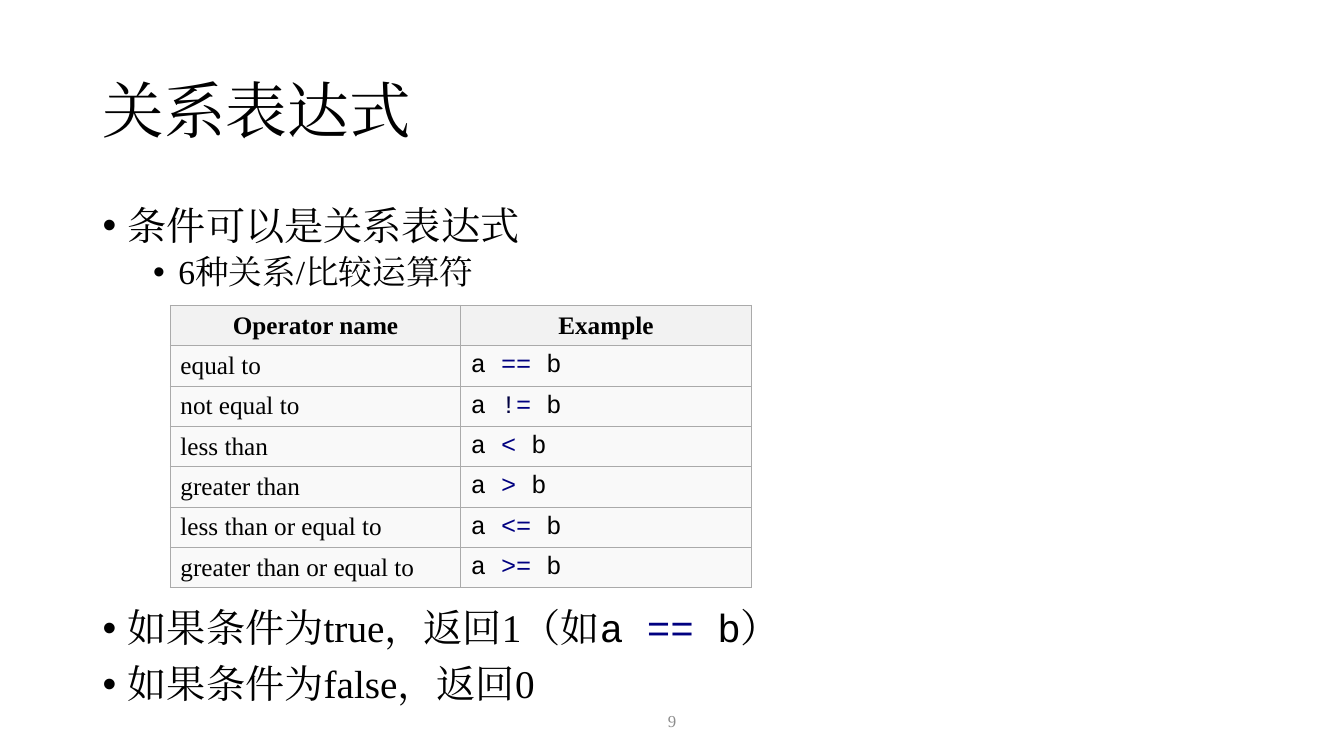
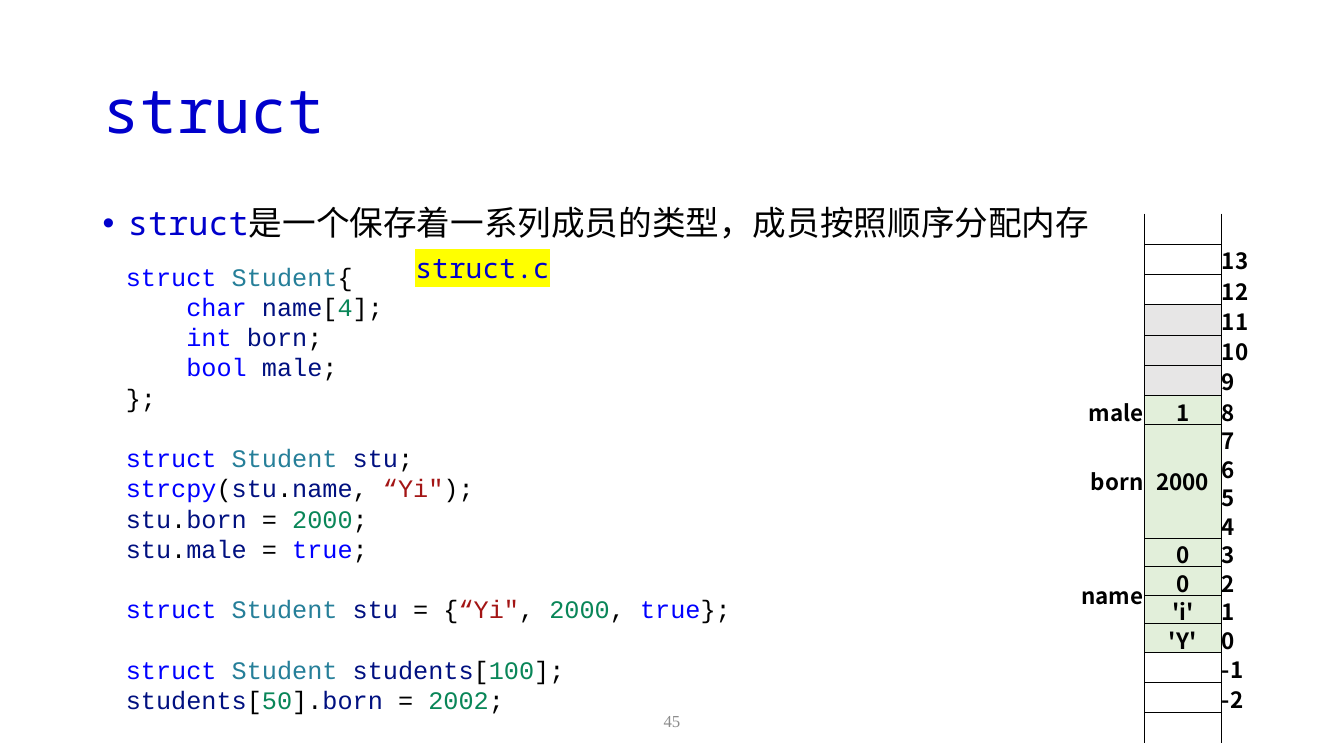
"""Build two slides on relational expressions and struct memory layout."""
from lxml.etree import SubElement
from pptx import Presentation
from pptx.dml.color import RGBColor
from pptx.enum.text import MSO_ANCHOR, PP_ALIGN
from pptx.oxml import parse_xml
from pptx.oxml.ns import nsdecls, qn
from pptx.util import Inches, Pt

BLACK = RGBColor(0x00, 0x00, 0x00)
WHITE = RGBColor(0xFF, 0xFF, 0xFF)
PAGE_GRAY = RGBColor(0x8C, 0x8C, 0x8C)
STRUCT_BLUE = RGBColor(0x00, 0x00, 0xCC)
OPERATOR_BLUE = RGBColor(0x00, 0x00, 0x80)
BANG_BLUE = RGBColor(0x00, 0x00, 0x40)
KEYWORD_BLUE = RGBColor(0x00, 0x00, 0xFF)
TYPE_TEAL = RGBColor(0x26, 0x7F, 0x99)
NAME_NAVY = RGBColor(0x00, 0x10, 0x80)
NUMBER_GREEN = RGBColor(0x09, 0x86, 0x58)
STRING_RED = RGBColor(0xA3, 0x15, 0x15)
HIGHLIGHT = RGBColor(0xFF, 0xFF, 0x00)
RULE_GRAY = RGBColor(0xAA, 0xAA, 0xAA)
HEADER_FILL = RGBColor(0xF2, 0xF2, 0xF2)
ROW_FILL = RGBColor(0xF9, 0xF9, 0xF9)
PADDING_FILL = RGBColor(0xE7, 0xE6, 0xE6)
MEMBER_FILL = RGBColor(0xE2, 0xEF, 0xDA)

SERIF = "Times New Roman"
COURIER = "Courier New"
MONO = "Noto Sans Mono"
SANS = "Noto Sans CJK SC"

KEYWORDS = {"struct", "char", "int", "bool", "true", "strcpy"}

COMPARISONS = [
    ("equal to", "=="),
    ("not equal to", "!="),
    ("less than", "<"),
    ("greater than", ">"),
    ("less than or equal to", "<="),
    ("greater than or equal to", ">="),
]

CODE_BLOCKS = [
    [
        "struct| |Student|{",
        "\tchar| |name|[|4|];",
        "\tint| |born|;",
        "\tbool| |male|;",
        "};",
    ],
    [
        "struct| |Student| |stu|;",
        "strcpy|(|stu|.|name|, |“Yi\"|);",
        "stu|.|born| = |2000|;",
        "stu|.|male| = |true|;",
    ],
    ["struct| |Student| |stu| = {|“Yi\"|, |2000|, |true|};"],
    [
        "struct| |Student| |students|[|100|];",
        "students|[|50|].|born| = |2002|;",
    ],
]

TOP_ADDRESS = 14
ADDRESS_ROWS = 18
PADDING_ADDRESSES = range(9, 12)
MEMBER_ADDRESSES = range(0, 9)
MEMBER_NAMES = {8: "male", 7: "born", 3: "name"}
MEMBER_VALUES = {8: "1", 7: "2000", 3: "0", 2: "0", 1: "'i'", 0: "'Y'"}


def add_run(paragraph, text, size=18, font=SERIF, color=BLACK, bold=False, highlight=None):
    run = paragraph.add_run()
    run.text = text
    run.font.size = Pt(size)
    run.font.bold = bold
    run.font.color.rgb = color
    run.font.name = font
    properties = run.font.fill._xPr
    SubElement(properties, qn("a:ea")).set("typeface", font)
    if highlight is not None:
        properties.insert(1, parse_xml(
            f'<a:highlight {nsdecls("a")}><a:srgbClr val="{highlight}"/></a:highlight>'))


def comparison_runs(operator):
    signs = [(sign, BANG_BLUE if sign == "!" else OPERATOR_BLUE) for sign in operator]
    parts = [("a ", BLACK), *signs, (" b", BLACK)]
    return [(text, {"font": COURIER, "color": color}) for text, color in parts]


def code_color(token):
    if token in KEYWORDS:
        return KEYWORD_BLUE
    if token == "Student":
        return TYPE_TEAL
    if token.isdigit():
        return NUMBER_GREEN
    if token.startswith("“"):
        return STRING_RED
    return NAME_NAVY if token.isalpha() else BLACK


class Deck:
    def __init__(self):
        self.presentation = Presentation()
        self.presentation.slide_width = Inches(13.33)
        self.presentation.slide_height = Inches(7.5)
        self.slide = None

    def start(self, title, number, **title_format):
        self.slide = self.presentation.slides.add_slide(self.presentation.slide_layouts[6])
        heading = self.text_box(0.92, 0.4, 11.5, 1.45, MSO_ANCHOR.MIDDLE).paragraphs[0]
        heading.line_spacing = 0.9
        add_run(heading, title, size=44, **title_format)
        footer = self.text_box(6.26, 6.95, 0.81, 0.4, MSO_ANCHOR.MIDDLE).paragraphs[0]
        footer.alignment = PP_ALIGN.CENTER
        add_run(footer, str(number), size=12, color=PAGE_GRAY)

    def text_box(self, left, top, width, height, anchor=MSO_ANCHOR.TOP):
        box = self.slide.shapes.add_textbox(
            Inches(left), Inches(top), Inches(width), Inches(height))
        box.text_frame.word_wrap = True
        box.text_frame.vertical_anchor = anchor
        return box.text_frame

    def bullets(self, top, height, items):
        frame = self.text_box(0.92, top, 11.5, height)
        for index, (level, size, runs) in enumerate(items):
            paragraph = frame.add_paragraph() if index else frame.paragraphs[0]
            paragraph.level = level
            paragraph.line_spacing = 0.9
            if index:
                paragraph.space_before = Pt(5 if level else 10)
            properties = paragraph._p.get_or_add_pPr()
            properties.set("marL", str(Inches(0.25 + 0.5 * level)))
            properties.set("indent", str(Inches(-0.25)))
            SubElement(properties, qn("a:buFont")).set("typeface", "Arial")
            SubElement(properties, qn("a:buChar")).set("char", "•")
            for text, style in runs:
                add_run(paragraph, text, size=size, **style)

    def code(self, left, top, width, height, blocks):
        frame = self.text_box(left, top, width, height)
        for block_index, block in enumerate(blocks):
            for line_index, line in enumerate(block):
                first = block_index == line_index == 0
                paragraph = frame.paragraphs[0] if first else frame.add_paragraph()
                paragraph.line_spacing = Pt(21.6)
                if block_index and not line_index:
                    paragraph.space_before = Pt(21.6)
                if line.startswith("\t"):
                    paragraph._p.get_or_add_pPr().set("marL", str(Inches(0.6)))
                for token in line.strip().split("|"):
                    add_run(paragraph, token, font=COURIER, color=code_color(token))

    def label(self, left, top, width, height, text, **text_format):
        frame = self.text_box(left, top, width, height)
        frame.word_wrap = False
        tag = self.slide.shapes[-1]
        tag.fill.solid()
        tag.fill.fore_color.rgb = WHITE
        add_run(frame.paragraphs[0], text, **text_format)

    def table(self, left, top, column_widths, row_height, row_count):
        table = self.slide.shapes.add_table(
            row_count, len(column_widths), Inches(left), Inches(top),
            Inches(sum(column_widths)), Inches(row_height * row_count)).table
        table.first_row = table.horz_banding = False
        for column, width in zip(table.columns, column_widths):
            column.width = Inches(width)
        for row in table.rows:
            row.height = Inches(row_height)
        return table

    def cell(self, cell, runs, fill=None, sides="LRTB", line=BLACK, weight=0.5,
             align=PP_ALIGN.LEFT, margins=(0.1, 0.05)):
        cell.vertical_anchor = MSO_ANCHOR.MIDDLE
        cell.margin_left = cell.margin_right = Inches(margins[0])
        cell.margin_top = cell.margin_bottom = Inches(margins[1])
        if fill is None:
            cell.fill.background()
        else:
            cell.fill.solid()
            cell.fill.fore_color.rgb = fill
        for index, side in enumerate("LRTB"):
            paint = "<a:noFill/>"
            if side in sides:
                paint = f'<a:solidFill><a:srgbClr val="{line}"/></a:solidFill>'
            cell._tc.tcPr.insert(index, parse_xml(
                f'<a:ln{side} {nsdecls("a")} w="{Pt(weight)}">{paint}</a:ln{side}>'))
        paragraph = cell.text_frame.paragraphs[0]
        paragraph.alignment = align
        for text, style in runs:
            add_run(paragraph, text, **style)
        return paragraph


def relational_slide(deck):
    deck.start("关系表达式", 9)
    deck.bullets(2, 1, [
        (0, 28, [("条件可以是关系表达式", {})]),
        (1, 24, [("6种关系/比较运算符", {})]),
    ])
    deck.bullets(5.99, 1.1, [
        (0, 28, [("如果条件为true，返回1（如", {}), *comparison_runs("=="), ("）", {})]),
        (0, 28, [("如果条件为false，返回0", {})]),
    ])
    operators = deck.table(1.69, 3.03, [2.88, 2.88], 0.38, len(COMPARISONS) + 1)
    rule = {"line": RULE_GRAY, "weight": 0.75}
    for column, heading in enumerate(["Operator name", "Example"]):
        deck.cell(operators.cell(0, column), [(heading, {"bold": True})],
                  fill=HEADER_FILL, align=PP_ALIGN.CENTER, **rule)
    for row, (name, operator) in enumerate(COMPARISONS, 1):
        for column, runs in enumerate([[(name, {})], comparison_runs(operator)]):
            deck.cell(operators.cell(row, column), runs, fill=ROW_FILL, **rule)


def struct_slide(deck):
    keyword = {"font": MONO, "color": STRUCT_BLUE}
    deck.start("struct", 45, **keyword)
    deck.bullets(2, 0.6, [(0, 24, [
        ("struct", keyword),
        ("是一个保存着一系列成员的类型，成员按照顺序分配内存", {"font": MONO}),
    ])])
    deck.code(1.15, 2.54, 6.41, 4.64, CODE_BLOCKS)
    memory = deck.table(10.37, 2.12, [0.98, 0.76, 0.56], 5.1 / ADDRESS_ROWS, ADDRESS_ROWS)
    for row in range(ADDRESS_ROWS):
        address = TOP_ADDRESS - row
        edge = row in (0, ADDRESS_ROWS - 1)
        fill = None
        if address in PADDING_ADDRESSES:
            fill = PADDING_FILL
        elif address in MEMBER_ADDRESSES:
            fill = MEMBER_FILL
        frame_sides = {0: "LRB", ADDRESS_ROWS - 1: "LRT"}.get(row, "LRTB")
        columns = [
            (MEMBER_NAMES.get(address), None, "R", PP_ALIGN.RIGHT),
            (MEMBER_VALUES.get(address), fill, frame_sides, PP_ALIGN.CENTER),
            (None if edge else str(address), None, "L", PP_ALIGN.LEFT),
        ]
        for column, (text, shade, sides, align) in enumerate(columns):
            runs = [(text, {"size": 16, "font": SANS, "bold": True})] if text else []
            paragraph = deck.cell(memory.cell(row, column), runs, fill=shade, sides=sides,
                                  align=align, margins=(0.01, 0))
            if not text:
                paragraph.line_spacing = Pt(12)
    for top_address, column in [(7, 0), (7, 1), (3, 0)]:
        first = TOP_ADDRESS - top_address
        memory.cell(first, column).merge(memory.cell(first + 3, column))
    deck.label(4.02, 2.44, 1.55, 0.44, "struct.c", size=20, highlight=HIGHLIGHT, **keyword)


def main():
    deck = Deck()
    relational_slide(deck)
    struct_slide(deck)
    deck.presentation.save("out.pptx")


if __name__ == "__main__":
    main()
